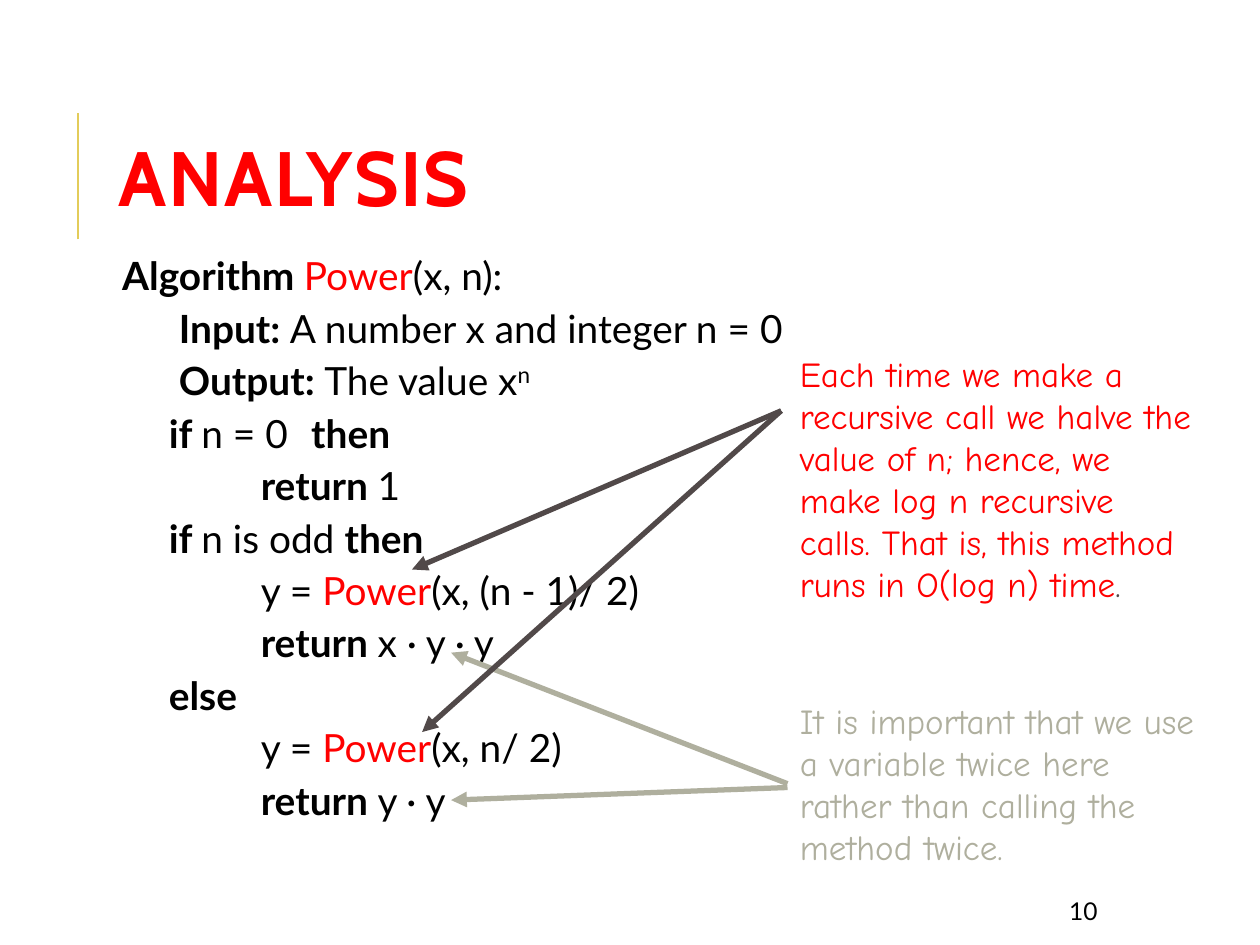
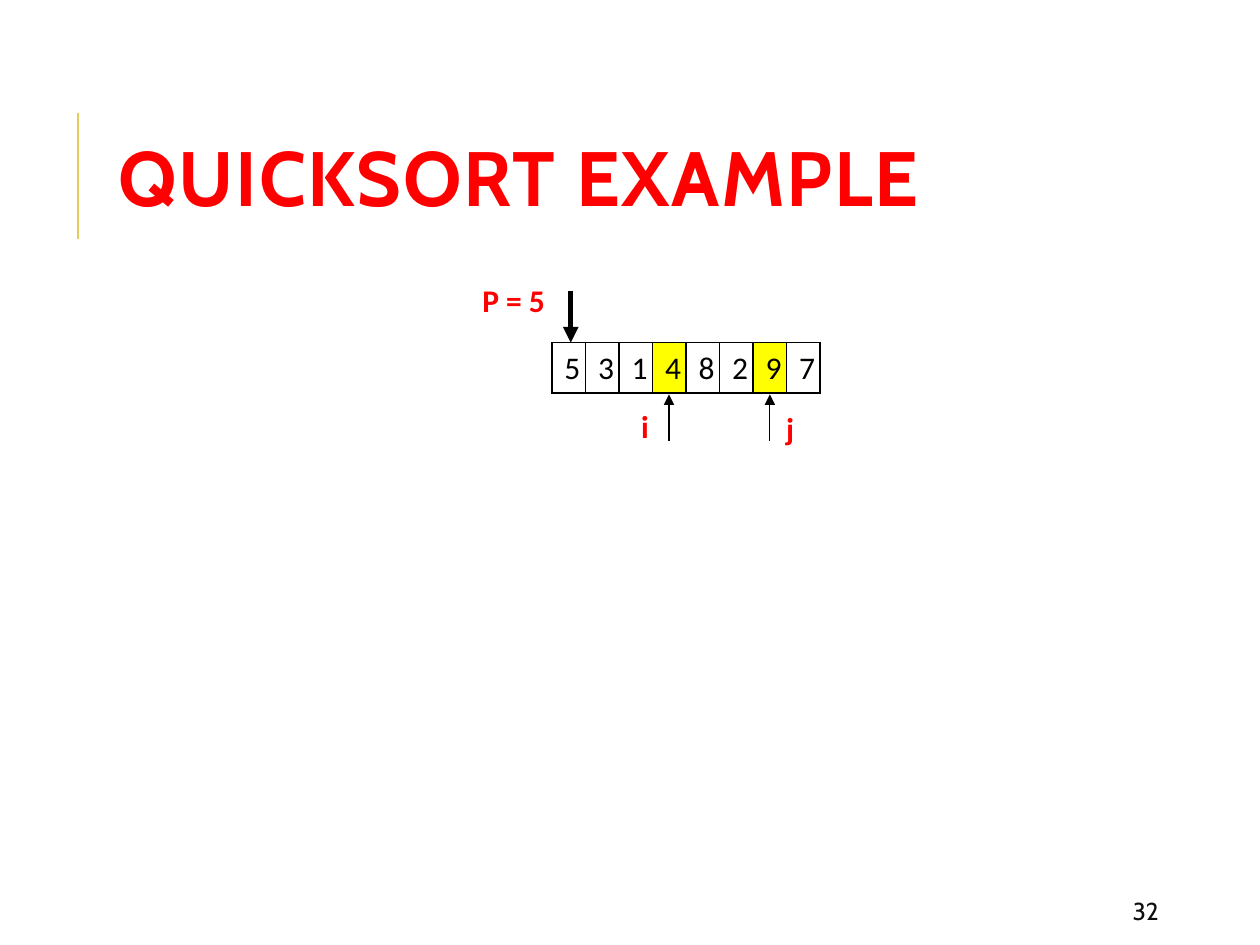
from lxml.etree import SubElement
from pptx import Presentation
from pptx.dml.color import RGBColor
from pptx.enum.shapes import MSO_CONNECTOR as Connector
from pptx.enum.text import MSO_ANCHOR as Anchor, MSO_AUTO_SIZE as AutoSize, PP_ALIGN as Align
from pptx.oxml import parse_xml
from pptx.oxml.ns import nsdecls, qn
from pptx.util import Pt

SCALE = 9144
COLORS = {
    "paper": "FFFFFF", "ink": "000000", "accent": "FF0000", "rule": "E3CC5A",
    "sage": "AFAF9E", "umber": "514949", "mark": "FFFF00", "number": "0D0D0D",
}


def px(value):
    return value * SCALE


def rgb(name):
    return RGBColor.from_string(COLORS[name])


class SlideBuilder:
    heading_font = "Cabin"
    code_font = "Lato"
    note_font = "Comic Neue"
    label_font = "Calibri"

    def __init__(self, deck):
        self.deck = deck
        self.page = None

    def start(self, title):
        self.page = self.deck.slides.add_slide(self.deck.slide_layouts[5])
        self.line((62, 190), (62, 90), "rule", 1.5)
        box = self.page.shapes.title
        box.left, box.top, box.width, box.height = map(px, (84, 64, 797, 164))
        frame = box.text_frame
        frame.text = title
        frame.auto_size = AutoSize.NONE
        frame.vertical_anchor = Anchor.MIDDLE
        para = frame.paragraphs[0]
        para.alignment = Align.LEFT
        para.line_spacing = 0.8
        span = para.runs[0]
        self.format(span, self.heading_font, 44, "accent", True)
        span.font._element.set("spc", "100")

    def format(self, span, font, size, color, bold=False):
        span.font.name = font
        span.font.size = Pt(size)
        span.font.bold = bold
        span.font.color.rgb = rgb(color)

    def frame(self, area, wrap=True):
        box = self.page.shapes.add_textbox(*map(px, area))
        box.text_frame.word_wrap = wrap
        return box.text_frame

    def text(self, area, words, font, size, color, bold=False, wrap=True):
        frame = self.frame(area, wrap)
        frame.text = words
        self.format(frame.paragraphs[0].runs[0], font, size, color, bold)
        return frame

    def note(self, area, words, color):
        return self.text(area, words, self.note_font, 20, color)

    def label(self, area, words):
        self.text(area, words, self.label_font, 18, "accent", True, False)

    def number(self, area, words, font, color, align):
        frame = self.text(area, words, font, 14, color)
        frame.vertical_anchor = Anchor.MIDDLE
        frame.paragraphs[0].alignment = align

    def code(self, area, lines, tab):
        frame = self.frame(area)
        frame.margin_left = frame.margin_right = px(5)
        frame.margin_top = frame.margin_bottom = px(5)
        for index, (indent, spans) in enumerate(lines):
            para = frame.paragraphs[0] if index == 0 else frame.add_paragraph()
            props = para._p.get_or_add_pPr()
            props.set("marL", "0")
            props.set("indent", str(px(indent)))
            if any("\t" in words for words, _ in spans):
                stops = SubElement(props, qn("a:tabLst"))
                SubElement(stops, qn("a:tab"), pos=str(px(tab)), algn="l")
            para.line_spacing = 0.6
            para.space_before = Pt(12 if index else 0)
            para.space_after = Pt(2)
            for words, style in spans:
                span = para.add_run()
                span.text = words
                color = "accent" if style == "call" else "ink"
                self.format(span, self.code_font, 22.2, color, style == "bold")
                if style == "super":
                    span.font._element.set("baseline", "30000")

    def line(self, start, end, color, weight, arrow=False):
        line = self.page.shapes.add_connector(Connector.STRAIGHT, *map(px, start + end))
        line.line.color.rgb = rgb(color)
        line.line.width = Pt(weight)
        props = line._element.spPr
        if arrow:
            SubElement(props.find(qn("a:ln")), qn("a:tailEnd"), type="triangle")
        SubElement(props, qn("a:effectLst"))

    def arrow(self, start, end, color, weight):
        self.line(start, end, color, weight, True)

    def array(self, area, values, marked):
        table = self.page.shapes.add_table(1, len(values), *map(px, area)).table
        table.first_row = table.horz_banding = False
        for index, value in enumerate(values):
            table.columns[index].width = px(area[2]) // len(values)
            cell = table.cell(0, index)
            cell.margin_left, cell.margin_right = px(8), px(2)
            cell.text_frame.text = str(value)
            para = cell.text_frame.paragraphs[0]
            para.alignment = Align.CENTER
            self.format(para.runs[0], self.label_font, 18, "ink")
            cell.fill.solid()
            cell.fill.fore_color.rgb = rgb("mark" if index in marked else "paper")
            self.border(cell)

    def border(self, cell):
        props = cell._tc.get_or_add_tcPr()
        for order, side in enumerate("LRTB"):
            props.insert(order, parse_xml(
                f'<a:ln{side} {nsdecls("a")} w="{Pt(1)}"><a:solidFill>'
                f'<a:srgbClr val="{COLORS["ink"]}"/></a:solidFill></a:ln{side}>'))


def analysis(slide):
    slide.start("ANALYSIS")
    slide.number((397, 708, 484, 30), "10", slide.code_font, "ink", Align.RIGHT)
    header, statement, nested = 45, 37, 110
    slide.code((92, 208, 582, 483), [
        (0, [("Algorithm ", "bold"), ("Power", "call"), ("(x, n):", "")]),
        (header, [("Input: ", "bold"), ("A number x and integer n = 0", "")]),
        (header, [("Output: ", "bold"), ("The value x", ""), ("n", "super")]),
        (statement, [("if ", "bold"), ("n = 0\t", ""), ("then", "bold")]),
        (nested, [("return ", "bold"), ("1", "")]),
        (statement, [("if ", "bold"), ("n is odd ", ""), ("then", "bold")]),
        (nested, [("y = ", ""), ("Power", "call"), ("(x, (n - 1)/ 2)", "")]),
        (nested, [("return ", "bold"), ("x · y · y", "")]),
        (statement, [("else", "bold")]),
        (nested, [("y = ", ""), ("Power", "call"), ("(x, n/ 2)", "")]),
        (nested, [("return ", "bold"), ("y · y", "")]),
    ], 210)
    slide.note((625, 550, 335, 145),
               "It is important that we use a variable twice here rather than "
               "calling the method twice.", "sage")
    slide.arrow((625, 622), (358, 518), "sage", 3)
    slide.arrow((625, 625), (358, 635), "sage", 3)
    halving = slide.note((625, 275, 333, 246),
                         "Each time we make a recursive call we halve the value of n; "
                         "hence, we make log n recursive calls. That is, this method "
                         "runs in O(log n) time", "accent")
    period = halving.paragraphs[0].add_run()
    period.text = "."
    slide.format(period, slide.note_font, 20, "umber")
    for call in ((327, 452), (335, 581)):
        slide.arrow((620, 326), call, "umber", 3)


def quicksort(slide):
    slide.start("QUICKSORT EXAMPLE")
    slide.number((889, 708, 80, 30), "32", slide.heading_font, "number", Align.LEFT)
    slide.array((438, 272, 213, 40), (5, 3, 1, 4, 8, 2, 9, 7), (3, 6))
    slide.label((373, 218, 84, 40), "P = 5")
    slide.arrow((453, 231), (453, 272), "ink", 3)
    for index, left, top, tip in (("i", 499, 318, 531), ("j", 614, 320, 611)):
        slide.arrow((tip, 350), (tip, 313), "ink", 0.75)
        slide.label((left, top, 27, 40), index)


def main():
    deck = Presentation()
    deck.slide_width, deck.slide_height = px(1000), px(750)
    slide = SlideBuilder(deck)
    analysis(slide)
    quicksort(slide)
    deck.save("out.pptx")


if __name__ == "__main__":
    main()
